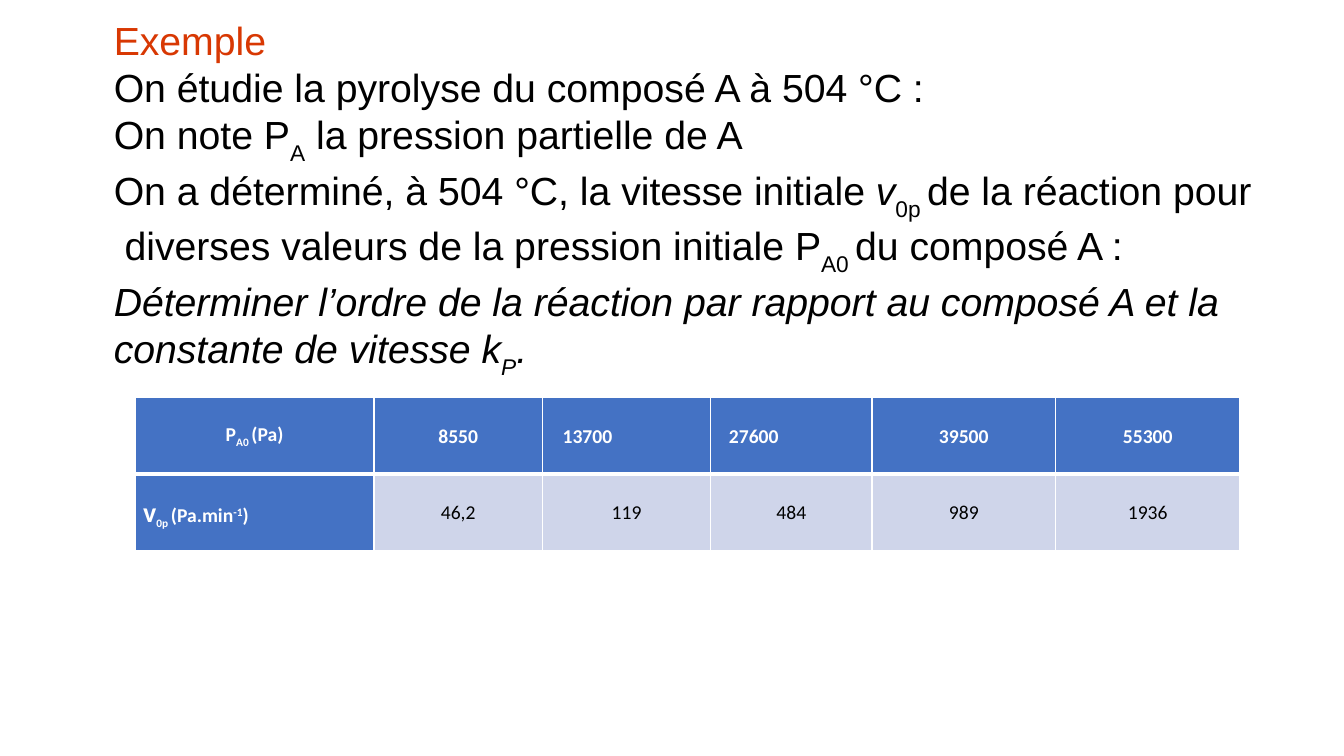
from dataclasses import dataclass

from lxml.etree import SubElement
from pptx import Presentation
from pptx.dml.color import RGBColor
from pptx.enum.text import MSO_ANCHOR as Anchor, PP_ALIGN as Align
from pptx.oxml.ns import qn
from pptx.util import Inches, Pt


@dataclass(frozen=True)
class Theme:
    white: str = "FFFFFF"
    black: str = "000000"
    accent: str = "D83803"
    head: str = "4472C4"
    band: str = "CFD5EA"
    prose: str = "Arial"
    grid: str = "Calibri"
    large: int = 28
    mid: int = 20
    small: int = 14
    thin: int = 1
    thick: int = 3


THEME = Theme()


@dataclass(frozen=True)
class Part:
    text: str
    base: int = 0
    italic: bool = False
    size: int = 0


LINES = [
    [Part("Exemple")],
    [Part("On étudie la pyrolyse du composé A à 504 °C :")],
    [Part("On note P"), Part("A", -30), Part(" la pression partielle de A")],
    [Part("On a déterminé, à 504 °C, la vitesse initiale "), Part("v", italic=True),
     Part("0p ", -30), Part("de la réaction pour")],
    [Part(" diverses valeurs de la pression initiale P"), Part("A0 ", -30),
     Part("du composé A :")],
    [Part("Déterminer l’ordre de la réaction par rapport au composé A et la",
          italic=True)],
    [Part("constante de vitesse k", italic=True), Part("P", -30, True),
     Part(".", italic=True)],
]

PRESSURE = [Part("P"), Part("A0 ", -25), Part("(Pa)")]
SPEED = [Part("v", size=THEME.mid), Part("0p ", -25), Part("(Pa.min"),
         Part("-1", 30), Part(")")]
ROWS = [
    [PRESSURE] + [[Part(x)] for x in ("8550", "13700", "27600", "39500", "55300")],
    [SPEED] + [[Part(x)] for x in ("46,2", "119", "484", "989", "1936")],
]
WIDTHS = [2.37, 1.67, 1.67, 1.6, 1.82, 1.83]
HEIGHT = 0.76
INDENTS = {(0, 2): 0.12, (0, 3): 0.1}


def rgb(code):
    return RGBColor.from_string(code)


def write(para, parts, face, size, color, bold=False):
    """Fill a paragraph with parts, some raised or lowered."""
    font = para.font
    font.name, font.size, font.bold = face, Pt(size), bold
    font.color.rgb = rgb(color)
    for part in parts:
        run = para.add_run()
        run.text = part.text
        if part.italic:
            run.font.italic = True
        if part.size:
            run.font.size = Pt(part.size)
        if part.base:
            run._r.get_or_add_rPr().set("baseline", str(part.base * 1000))


def border(cell, sides):
    """Draw white edges; sides maps L, R, T, B to a width in points."""
    props = cell._tc.get_or_add_tcPr()
    for side, width in sides.items():
        line = SubElement(props, qn(f"a:ln{side}"), w=str(Pt(width)))
        fill = SubElement(line, qn("a:solidFill"))
        SubElement(fill, qn("a:srgbClr"), val=THEME.white)


def add_prose(slide):
    box = slide.shapes.add_textbox(Inches(1.03), Inches(0.24),
                                   Inches(11.68), Inches(3.7))
    frame = box.text_frame
    frame.word_wrap = True
    frame.vertical_anchor = Anchor.MIDDLE
    frame.margin_bottom = Inches(0.3)
    for i, parts in enumerate(LINES):
        para = frame.add_paragraph() if i else frame.paragraphs[0]
        color = THEME.black if i else THEME.accent
        write(para, parts, THEME.prose, THEME.large, color)


def fill_cell(cell, row, col, parts):
    title = row == 0 or col == 0
    thin, thick = THEME.thin, THEME.thick
    border(cell, {"L": thin, "R": thin, "T": thick if row else thin,
                  "B": thin if row else thick})
    cell.fill.solid()
    cell.fill.fore_color.rgb = rgb(THEME.head if title else THEME.band)
    cell.vertical_anchor = Anchor.MIDDLE
    cell.margin_left = cell.margin_right = Inches(0.08)
    cell.margin_top = cell.margin_bottom = 0
    para = cell.text_frame.paragraphs[0]
    para.line_spacing = 1.07
    if (row, col) in INDENTS:
        para.alignment = Align.LEFT
        props = para._p.get_or_add_pPr()
        props.set("marL", str(Inches(INDENTS[row, col])))
        props.set("indent", "0")
    else:
        para.alignment = Align.JUSTIFY if row and not col else Align.CENTER
    color = THEME.white if title else THEME.black
    write(para, parts, THEME.grid, THEME.small, color, title)


def add_grid(slide):
    frame = slide.shapes.add_table(
        len(ROWS), len(WIDTHS), Inches(1.34), Inches(3.94),
        Inches(sum(WIDTHS)), Inches(HEIGHT * len(ROWS)))
    table = frame.table
    table.first_col = True
    for col, width in zip(table.columns, WIDTHS):
        col.width = Inches(width)
    for r, cells in enumerate(ROWS):
        table.rows[r].height = Inches(HEIGHT)
        for c, parts in enumerate(cells):
            fill_cell(table.cell(r, c), r, c, parts)


def main():
    deck = Presentation()
    deck.slide_width, deck.slide_height = Inches(13.33), Inches(7.5)
    slide = deck.slides.add_slide(deck.slide_layouts[6])
    add_grid(slide)
    add_prose(slide)
    deck.save("out.pptx")


if __name__ == "__main__":
    main()
